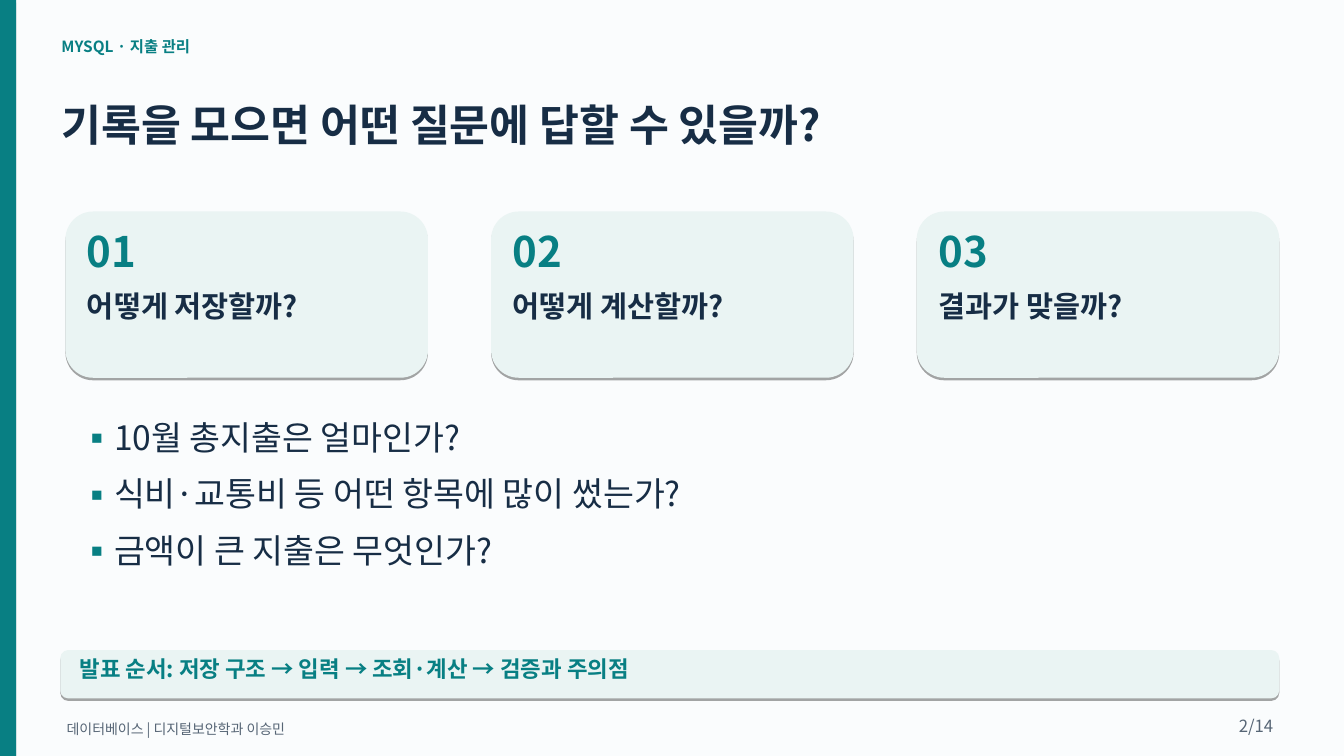
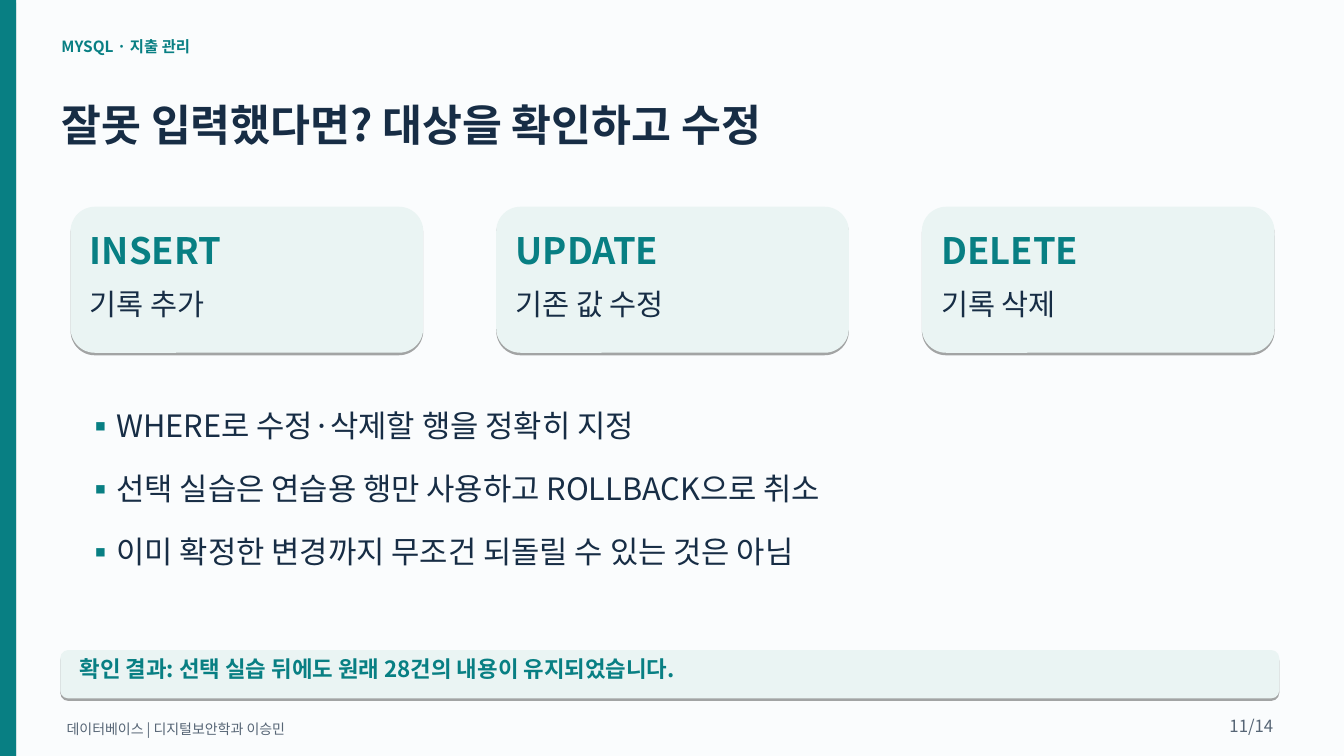
from dataclasses import dataclass

from lxml import etree
from pptx import Presentation
from pptx.dml.color import RGBColor
from pptx.enum.shapes import MSO_SHAPE
from pptx.enum.text import MSO_ANCHOR, MSO_AUTO_SIZE, PP_ALIGN
from pptx.oxml.ns import qn
from pptx.presentation import Presentation as Deck
from pptx.shapes.autoshape import Shape
from pptx.slide import Slide
from pptx.text.text import TextFrame
from pptx.util import Cm, Pt

RECTANGLE = MSO_SHAPE.RECTANGLE
ROUNDED = MSO_SHAPE.ROUNDED_RECTANGLE
TOP = MSO_ANCHOR.TOP
NO_AUTOFIT = MSO_AUTO_SIZE.NONE
LEFT, RIGHT = PP_ALIGN.LEFT, PP_ALIGN.RIGHT

COLORS = {
    "paper": "FAFCFD",
    "teal": "087F83",
    "mint": "EAF4F3",
    "navy": "172D45",
    "gray": "566575",
    "shadow": "000000",
}
FONT = "Noto Sans CJK KR"
WIDTH, HEIGHT = 33.88, 19.05
CARD_PITCH = 10.73
BULLET_INDENT = 0.64
PAGE_TOTAL = 14
SECTION = "MYSQL · 지출 관리"
FOOTER = "데이터베이스 | 디지털보안학과 이승민"


@dataclass(frozen=True)
class Area:
    left: float
    top: float
    width: float
    height: float


@dataclass(frozen=True)
class Line:
    text: str
    size: float
    color: str
    bold: bool = False
    after: float = 0
    align: PP_ALIGN = LEFT
    bullet: bool = False


@dataclass(frozen=True)
class CardStyle:
    first: Area
    margin_left: float
    margin_top: float
    heading_size: float
    heading_after: float
    caption_bold: bool


@dataclass(frozen=True)
class ListStyle:
    area: Area
    size: float
    after: float


@dataclass(frozen=True)
class Page:
    number: int
    title: str
    card_style: CardStyle
    cards: tuple[tuple[str, str], ...]
    list_style: ListStyle
    points: tuple[str, ...]
    summary: str


PAGES = (
    Page(
        2,
        "기록을 모으면 어떤 질문에 답할 수 있을까?",
        CardStyle(Area(1.65, 5.33, 9.14, 4.19), 0.34, 0.15, 30, 8.4, True),
        (
            ("01", "어떻게 저장할까?"),
            ("02", "어떻게 계산할까?"),
            ("03", "결과가 맞을까?"),
        ),
        ListStyle(Area(2.03, 10.46, 29.97, 4.6), 24, 11.3),
        (
            "10월 총지출은 얼마인가?",
            "식비·교통비 등 어떤 항목에 많이 썼는가?",
            "금액이 큰 지출은 무엇인가?",
        ),
        "발표 순서: 저장 구조 → 입력 → 조회·계산 → 검증과 주의점",
    ),
    Page(
        11,
        "잘못 입력했다면? 대상을 확인하고 수정",
        CardStyle(Area(1.78, 5.21, 8.89, 3.68), 0.31, 0.35, 26, 10.6, False),
        (
            ("INSERT", "기록 추가"),
            ("UPDATE", "기존 값 수정"),
            ("DELETE", "기록 삭제"),
        ),
        ListStyle(Area(2.16, 10.21, 29.97, 4.8), 22, 18.5),
        (
            "WHERE로 수정·삭제할 행을 정확히 지정",
            "선택 실습은 연습용 행만 사용하고 ROLLBACK으로 취소",
            "이미 확정한 변경까지 무조건 되돌릴 수 있는 것은 아님",
        ),
        "확인 결과: 선택 실습 뒤에도 원래 28건의 내용이 유지되었습니다.",
    ),
)


def rgb(name: str) -> RGBColor:
    return RGBColor.from_string(COLORS[name])


def lengths(area: Area) -> tuple[Cm, Cm, Cm, Cm]:
    return Cm(area.left), Cm(area.top), Cm(area.width), Cm(area.height)


def place(box: Shape, area: Area) -> None:
    box.left, box.top, box.width, box.height = lengths(area)


def add_bullet(properties: etree._Element) -> None:
    properties.set("marL", str(Cm(BULLET_INDENT)))
    properties.set("indent", str(-Cm(BULLET_INDENT)))
    color = etree.SubElement(properties, qn("a:buClr"))
    etree.SubElement(color, qn("a:srgbClr"), val=COLORS["teal"])
    etree.SubElement(properties, qn("a:buFont"), typeface=FONT)
    etree.SubElement(properties, qn("a:buChar"), char="▪")


def write(
    frame: TextFrame,
    lines: list[Line],
    margin_left: float = 0.03,
    margin_top: float = 0.05,
) -> None:
    frame.word_wrap = True
    frame.auto_size = NO_AUTOFIT
    frame.vertical_anchor = TOP
    frame.margin_left, frame.margin_top = Cm(margin_left), Cm(margin_top)
    frame.margin_right, frame.margin_bottom = Cm(0.03), Cm(0.05)
    for index, line in enumerate(lines):
        para = frame.add_paragraph() if index else frame.paragraphs[0]
        para.text = line.text
        para.alignment = line.align
        para.space_before = Pt(0)
        para.space_after = Pt(line.after)
        properties = para._p.get_or_add_pPr()
        if line.bullet:
            add_bullet(properties)
        font = para.font
        font.size, font.bold = Pt(line.size), line.bold
        font.color.rgb = rgb(line.color)
        font.name = FONT
        defaults = properties.find(qn("a:defRPr"))
        etree.SubElement(defaults, qn("a:ea"), typeface=FONT)


def add_text(slide: Slide, area: Area, line: Line) -> None:
    write(slide.shapes.add_textbox(*lengths(area)).text_frame, [line])


def add_panel(slide: Slide, kind: MSO_SHAPE, area: Area, color: str) -> Shape:
    panel = slide.shapes.add_shape(kind, *lengths(area))
    panel.fill.solid()
    panel.fill.fore_color.rgb = rgb(color)
    panel.line.fill.background()
    panel.shadow.inherit = False
    effects = panel._element.spPr.find(qn("a:effectLst"))
    shadow = etree.SubElement(
        effects, qn("a:outerShdw"), blurRad="0", dist=str(Pt(1.8)), dir="5400000"
    )
    shade = etree.SubElement(shadow, qn("a:srgbClr"), val=COLORS["shadow"])
    etree.SubElement(shade, qn("a:alpha"), val="35000")
    return panel


def add_cards(slide: Slide, page: Page) -> None:
    style = page.card_style
    first = style.first
    for index, (heading, caption) in enumerate(page.cards):
        left = first.left + index * CARD_PITCH
        area = Area(left, first.top, first.width, first.height)
        card = add_panel(slide, ROUNDED, area, "mint")
        lines = [
            Line(heading, style.heading_size, "teal", True, style.heading_after),
            Line(caption, 21, "navy", style.caption_bold),
        ]
        write(card.text_frame, lines, style.margin_left, style.margin_top)


def add_list(slide: Slide, page: Page) -> None:
    style = page.list_style
    body = slide.placeholders[1]
    place(body, style.area)
    lines = [
        Line(point, style.size, "navy", after=style.after, bullet=True)
        for point in page.points
    ]
    write(body.text_frame, lines, margin_left=0)


def add_page(deck: Deck, page: Page) -> None:
    slide = deck.slides.add_slide(deck.slide_layouts[1])
    add_panel(slide, RECTANGLE, Area(0, 0, 0.41, HEIGHT), "teal")
    add_text(slide, Area(1.52, 0.89, 30.48, 0.56), Line(SECTION, 11, "teal", True))
    title = slide.shapes.title
    place(title, Area(1.52, 2.41, 30.73, 1.42))
    write(title.text_frame, [Line(page.title, 31, "navy", True)])
    add_cards(slide, page)
    add_list(slide, page)
    summary = add_panel(slide, ROUNDED, Area(1.52, 16.38, 30.73, 1.22), "mint")
    write(summary.text_frame, [Line(page.summary, 16, "teal", True)], 0.43, 0.07)
    add_text(slide, Area(1.65, 18.11, 27.18, 0.53), Line(FOOTER, 10, "gray"))
    number = Line(f"{page.number}/{PAGE_TOTAL}", 12, "gray", align=RIGHT)
    add_text(slide, Area(29.34, 17.98, 2.79, 0.61), number)


def main() -> None:
    deck = Presentation()
    deck.slide_width, deck.slide_height = Cm(WIDTH), Cm(HEIGHT)
    background = deck.slide_master.background.fill
    background.solid()
    background.fore_color.rgb = rgb("paper")
    for page in PAGES:
        add_page(deck, page)
    deck.save("out.pptx")


if __name__ == "__main__":
    main()
